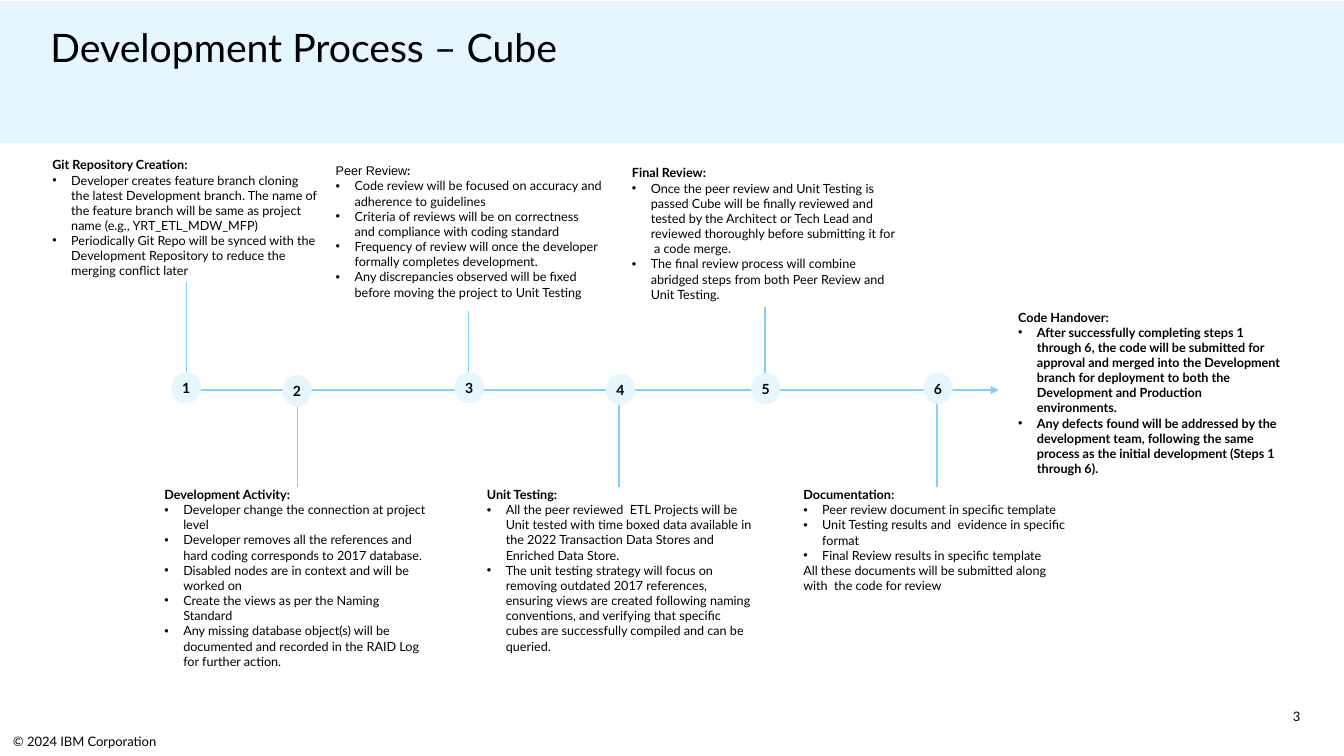
from pptx import Presentation
from pptx.dml.color import RGBColor
from pptx.enum.shapes import MSO_CONNECTOR, MSO_SHAPE
from pptx.enum.text import MSO_ANCHOR, PP_ALIGN
from pptx.oxml.ns import qn
from pptx.util import Pt
from lxml import etree

RECT, OVAL = MSO_SHAPE.RECTANGLE, MSO_SHAPE.OVAL
STRAIGHT = MSO_CONNECTOR.STRAIGHT
LEFT, CENTER, RIGHT = PP_ALIGN.LEFT, PP_ALIGN.CENTER, PP_ALIGN.RIGHT
TOP, MIDDLE = MSO_ANCHOR.TOP, MSO_ANCHOR.MIDDLE

FONT = "Lato"
PALE, LINE, BLACK = "E5F6FF", "82CFFF", "000000"
AXIS_Y = 278.6
NOTE_W = 190
DOT_W, DOT_H = 19.6, 20.9
INDENT = 13.5

# Each step: dot centre x, dot top, stem x, stem outer y
STEPS = [
    (133, 266.4, 133.2, 201.6),
    (212.2, 268.6, 212.4, 347.8),
    (335.2, 266.4, 334.8, 222.5),
    (443.2, 267.8, 442.1, 347.8),
    (547, 267.1, 546.5, 219.6),
    (670, 267.1, 669.2, 347.8),
]

# Each note: left, top, height, heading, bullets
NOTES = [
    (37.4, 112.3, 90, "Git Repository Creation", [
        "Developer creates feature branch cloning the latest Development branch. The name of "
        "the feature branch will be same as project name (e.g., YRT_ETL_MDW_MFP)",
        "Periodically Git Repo will be synced with the Development Repository to reduce the  "
        "merging conflict later"]),
    (117.4, 347.8, 130, "Development Activity", [
        "Developer change the connection at project level",
        "Developer removes all the references and hard coding corresponds to 2017 database.",
        "Disabled nodes are in context and will be worked on",
        "Create the views as per the Naming Standard",
        "Any missing database object(s) will be documented and recorded in the RAID Log for "
        "further action."]),
    (239.8, 116.6, 117, "Peer Review", [
        "Code review will be focused on accuracy and adherence to guidelines",
        "Criteria of reviews will be on correctness and compliance with coding standard",
        "Frequency of review will once the developer formally completes development.",
        "Any discrepancies observed will be fixed before moving the project to Unit Testing"]),
    (347.8, 347.8, 127, "Unit Testing", [
        "All the peer reviewed  ETL Projects will be Unit tested with time boxed data available "
        "in the 2022 Transaction Data Stores and Enriched Data Store.",
        "The unit testing strategy will focus on removing outdated 2017 references, ensuring "
        "views are created following naming conventions, and verifying that specific cubes are "
        "successfully compiled and can be queried."]),
    (451.4, 118.1, 101.5, "Final Review", [
        "Once the peer review and Unit Testing is passed Cube will be finally reviewed and "
        "tested by the Architect or Tech Lead and reviewed thoroughly before submitting it for  "
        "a code merge.",
        "The final review process will combine abridged steps from both Peer Review and Unit "
        "Testing."]),
    (573.8, 347.8, 90, "Documentation", [
        "Peer review document in specific template",
        "Unit Testing results and  evidence in specific format",
        "Final Review results in specific template"]),
    (727.2, 221, 120, "Code Handover", [
        "After successfully completing steps 1 through 6, the code will be submitted for "
        "approval and merged into the Development branch for deployment to both the Development "
        "and Production environments.",
        "Any defects found will be addressed by the development team, following the same process "
        "as the initial development (Steps 1 through 6)."]),
]
CLOSING = {"Documentation": "All these documents will be submitted along with  the code for review"}
PLAIN_HEADING, BOLD_NOTE = "Peer Review", "Code Handover"


def rgb(value):
    """Turn a hex string into a colour."""
    return RGBColor.from_string(value)


def add_run(p, text, size=9, bold=False, font=FONT, color=BLACK):
    """Append a formatted run to a paragraph."""
    r = p.add_run()
    r.text = text
    r.font.size, r.font.bold, r.font.name = Pt(size), bold, font
    r.font.color.rgb = rgb(color)


def set_frame(sp, anchor=TOP, inset=(0, 0)):
    """Prepare the text frame of a shape."""
    tf = sp.text_frame
    tf.word_wrap, tf.vertical_anchor = True, anchor
    tf.margin_left = tf.margin_right = Pt(inset[0])
    tf.margin_top = tf.margin_bottom = Pt(inset[1])
    return tf


def add_text(slide, text, box, align=LEFT, inset=(0, 0), spacing=None, **style):
    """Add a one-paragraph text box."""
    sp = slide.shapes.add_textbox(*map(Pt, box))
    p = set_frame(sp, inset=inset).paragraphs[0]
    p.alignment, p.line_spacing = align, spacing
    add_run(p, text, **style)


def add_shape(slide, kind, box):
    """Add a pale preset shape."""
    sp = slide.shapes.add_shape(kind, *map(Pt, box))
    sp.shadow.inherit = False
    sp.fill.solid()
    sp.fill.fore_color.rgb = rgb(PALE)
    sp.line.fill.background()
    return sp


def add_line(slide, start, end, width=1, arrow=False):
    """Add a straight line, with an arrowhead at its end if wanted."""
    cx = slide.shapes.add_connector(STRAIGHT, *map(Pt, start + end))
    cx.line.color.rgb = rgb(LINE)
    cx.line.width = Pt(width)
    if arrow:
        etree.SubElement(cx.line._get_or_add_ln(), qn("a:tailEnd"), type="triangle")
    etree.SubElement(cx._element.spPr, qn("a:effectLst"))


def add_dot(slide, number, x, top):
    """Add a numbered circle on the timeline."""
    sp = add_shape(slide, OVAL, (x - DOT_W / 2, top, DOT_W, DOT_H))
    sp.line.color.rgb = rgb(PALE)
    sp.line.width = Pt(1.5)
    p = set_frame(sp, MIDDLE).paragraphs[0]
    p.alignment = CENTER
    add_run(p, str(number), size=10, bold=True)


def add_bullet(p):
    """Give a paragraph a hanging round bullet."""
    pPr = p._p.get_or_add_pPr()
    pPr.set("marL", str(Pt(INDENT)))
    pPr.set("indent", str(-Pt(INDENT)))
    etree.SubElement(pPr, qn("a:buFont"), typeface="Arial")
    etree.SubElement(pPr, qn("a:buChar"), char="•")


def add_note(slide, left, top, height, heading, bullets):
    """Add a heading with its bullets and any closing line."""
    sp = slide.shapes.add_textbox(Pt(left), Pt(top), Pt(NOTE_W), Pt(height))
    tf = set_frame(sp)
    p = tf.paragraphs[0]
    if heading == PLAIN_HEADING:
        add_run(p, heading, font="Arial")
        add_run(p, ":", bold=True)
    else:
        add_run(p, heading + ":", bold=True)
    for text in bullets:
        p = tf.add_paragraph()
        add_bullet(p)
        add_run(p, text, bold=heading == BOLD_NOTE)
    if heading in CLOSING:
        add_run(tf.add_paragraph(), CLOSING[heading])


def main():
    """Build the slide and save it."""
    prs = Presentation()
    prs.slide_width, prs.slide_height = Pt(960), Pt(540)
    slide = prs.slides.add_slide(prs.slide_layouts[6])
    add_shape(slide, RECT, (0, 0.7, 960, 101.5))
    add_text(slide, "Development Process – Cube", (36, 20.2, 863, 40.3), size=28, spacing=0.9)
    add_text(slide, "© 2024 IBM Corporation", (2.2, 520.6, 432, 17.3),
             inset=(7.2, 3.6), size=9.3)
    add_text(slide, "3", (743.8, 502.6, 192.2, 17.3), align=RIGHT, inset=(7.2, 3.6), size=9.3)
    for note in NOTES:
        add_note(slide, *note)
    add_line(slide, (131, AXIS_Y), (713.5, AXIS_Y), width=1.5, arrow=True)
    for number, (x, top, stem_x, stem_y) in enumerate(STEPS, 1):
        add_line(slide, (stem_x, stem_y), (stem_x, AXIS_Y))
        add_dot(slide, number, x, top)
    prs.save("out.pptx")


if __name__ == "__main__":
    main()
